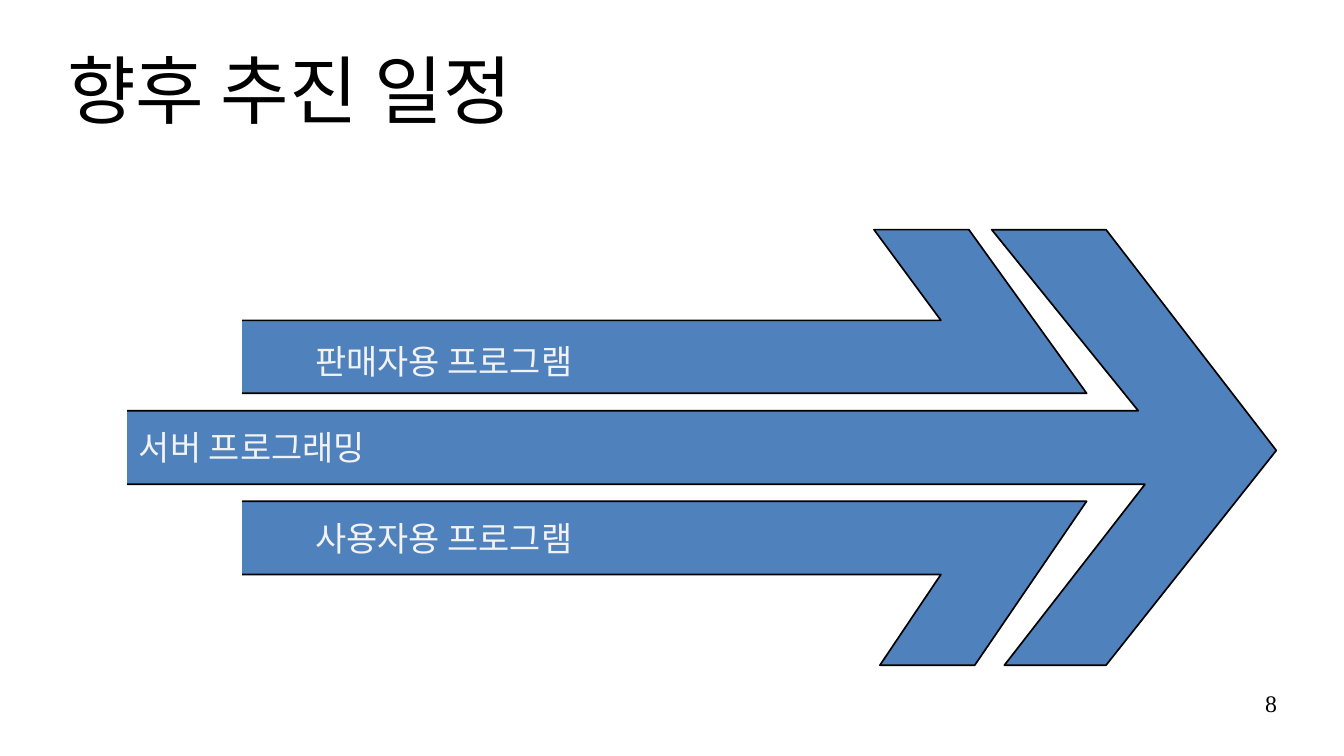
from lxml import etree
from pptx import Presentation
from pptx.dml.color import RGBColor
from pptx.enum.text import MSO_ANCHOR, MSO_AUTO_SIZE, PP_ALIGN
from pptx.oxml.ns import qn
from pptx.util import Pt

LEFT, RIGHT = PP_ALIGN.LEFT, PP_ALIGN.RIGHT
TOP, MIDDLE = MSO_ANCHOR.TOP, MSO_ANCHOR.MIDDLE
NO_AUTOFIT = MSO_AUTO_SIZE.NONE
TITLE_ONLY = 5
KOREAN_FONT = "Noto Sans CJK KR"

SELLER_ARROW = [(143, 189.2), (555.5, 189.2), (516, 135.6), (572, 135.6),
                (641.5, 232.2), (143, 232.2)]
USER_ARROW = [(143, 339.2), (555.5, 339.2), (519.5, 392.8), (575.5, 392.8),
              (641.5, 296), (143, 296)]
SERVER_ARROW = [(75, 242.5), (672, 242.5), (585.5, 135.6), (653, 135.6),
                (753.5, 266), (653, 392.8), (593, 392.8), (676, 286), (75, 286)]
LABELS = [("판매자용 프로그램", 186, 201, 294),
          ("서버 프로그래밍", 82, 251.5, 598),
          ("사용자용 프로그램", 186, 305.5, 294)]


def color(value):
    return RGBColor.from_string(value)


def place(shape, left, top, width, height):
    shape.left, shape.top = Pt(left), Pt(top)
    shape.width, shape.height = Pt(width), Pt(height)


def write_text(shape, text, size, font_name, font_color, align=LEFT, anchor=MIDDLE):
    frame = shape.text_frame
    frame.text = text
    frame.word_wrap = True
    frame.auto_size = NO_AUTOFIT
    frame.vertical_anchor = anchor
    frame.margin_left = frame.margin_right = 0
    frame.margin_top = frame.margin_bottom = 0
    paragraph = frame.paragraphs[0]
    paragraph.alignment = align
    run = paragraph.runs[0]
    run.font.size = Pt(size)
    run.font.color.rgb = color(font_color)
    run.font.name = font_name
    east_asian = etree.SubElement(run.font._element, qn("a:ea"))
    east_asian.set("typeface", KOREAN_FONT)
    return paragraph


def add_title(slide, text):
    title = slide.shapes.title
    place(title, 39.6, 18, 714, 75)
    paragraph = write_text(title, text, 44, "Arial", "000000")
    paragraph.line_spacing = 0.9


def add_label(slide, text, box, size, font_name, font_color, align=LEFT, anchor=MIDDLE):
    label = slide.shapes.add_textbox(0, 0, 0, 0)
    place(label, *box)
    write_text(label, text, size, font_name, font_color, align, anchor)


def add_arrow(slide, corners):
    points = [(Pt(x), Pt(y)) for x, y in corners]
    builder = slide.shapes.build_freeform(*points[0])
    builder.add_line_segments(points[1:], close=False)
    arrow = builder.convert_to_shape()
    arrow.shadow.inherit = False
    arrow.fill.solid()
    arrow.fill.fore_color.rgb = color("4F81BD")
    arrow.line.color.rgb = color("000000")
    arrow.line.width = Pt(1)


def main():
    presentation = Presentation()
    presentation.slide_width, presentation.slide_height = Pt(793.44), Pt(446.4)
    slide = presentation.slides.add_slide(presentation.slide_layouts[TITLE_ONLY])
    add_title(slide, "향후 추진 일정")
    for corners in (SELLER_ARROW, USER_ARROW, SERVER_ARROW):
        add_arrow(slide, corners)
    for text, left, top, width in LABELS:
        add_label(slide, text, (left, top, width, 24.5), 20, KOREAN_FONT, "F2F2F2")
    add_label(slide, "8", (569, 407, 185, 31), 14, "Times New Roman", "000000", RIGHT, TOP)
    presentation.save("out.pptx")


main()
